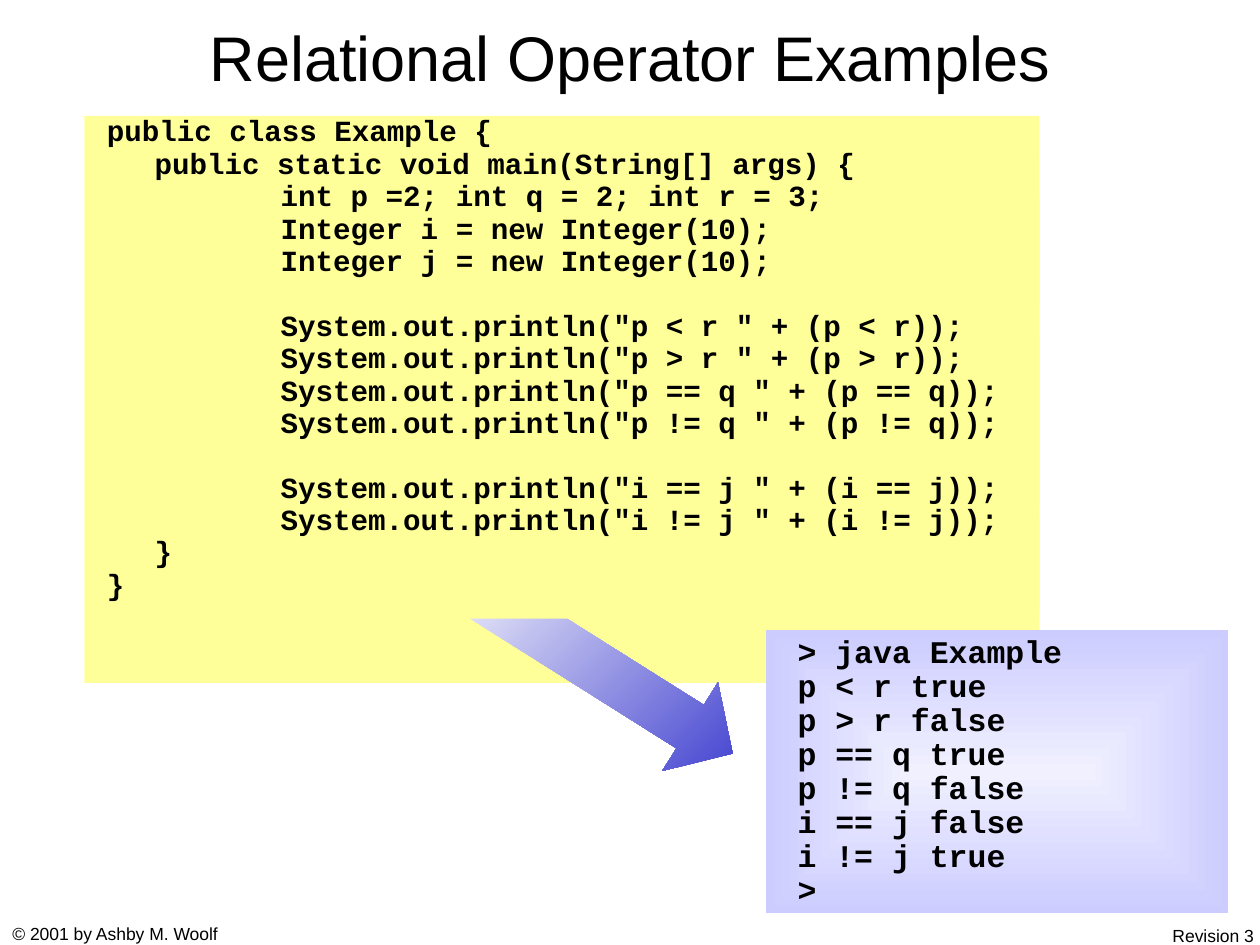
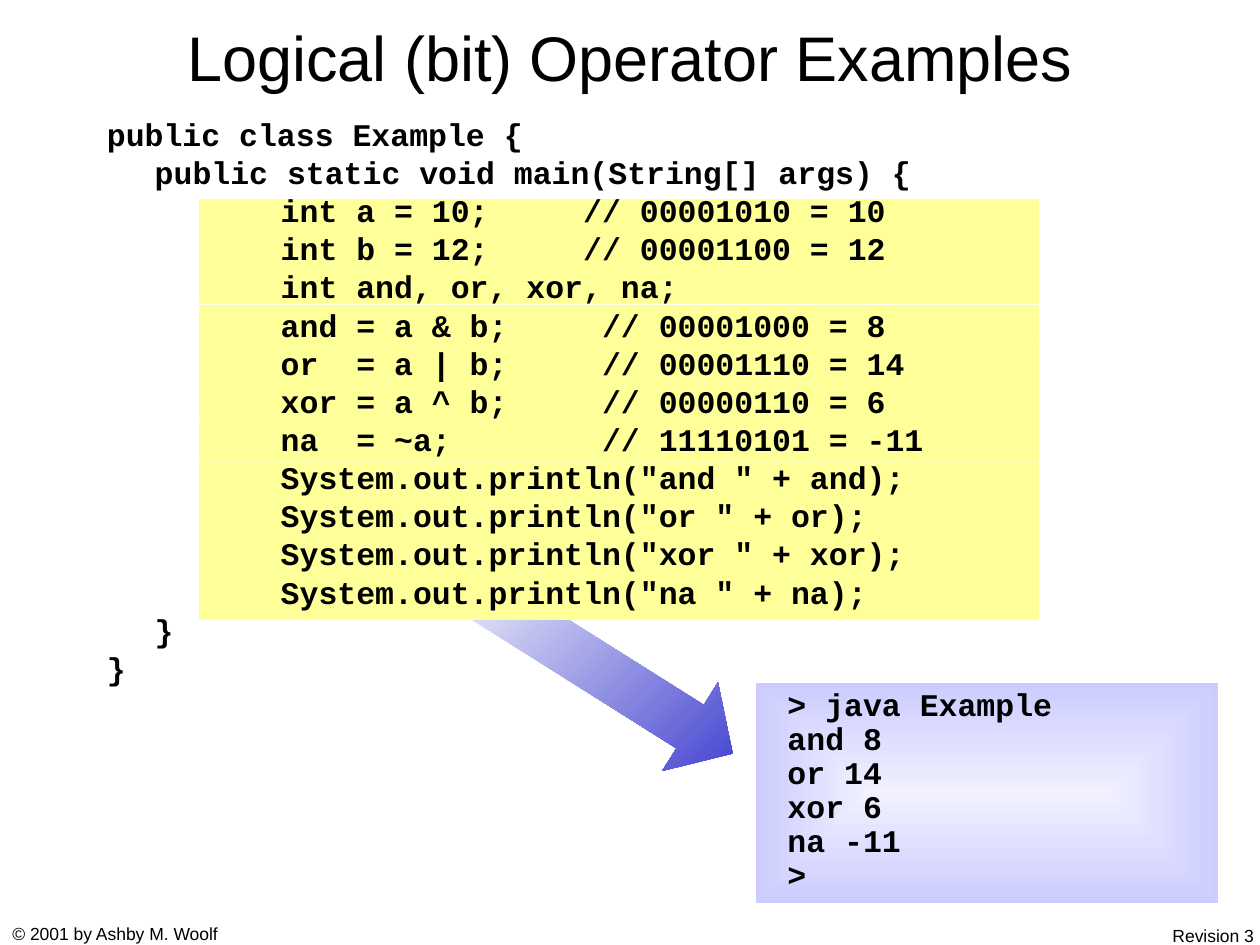
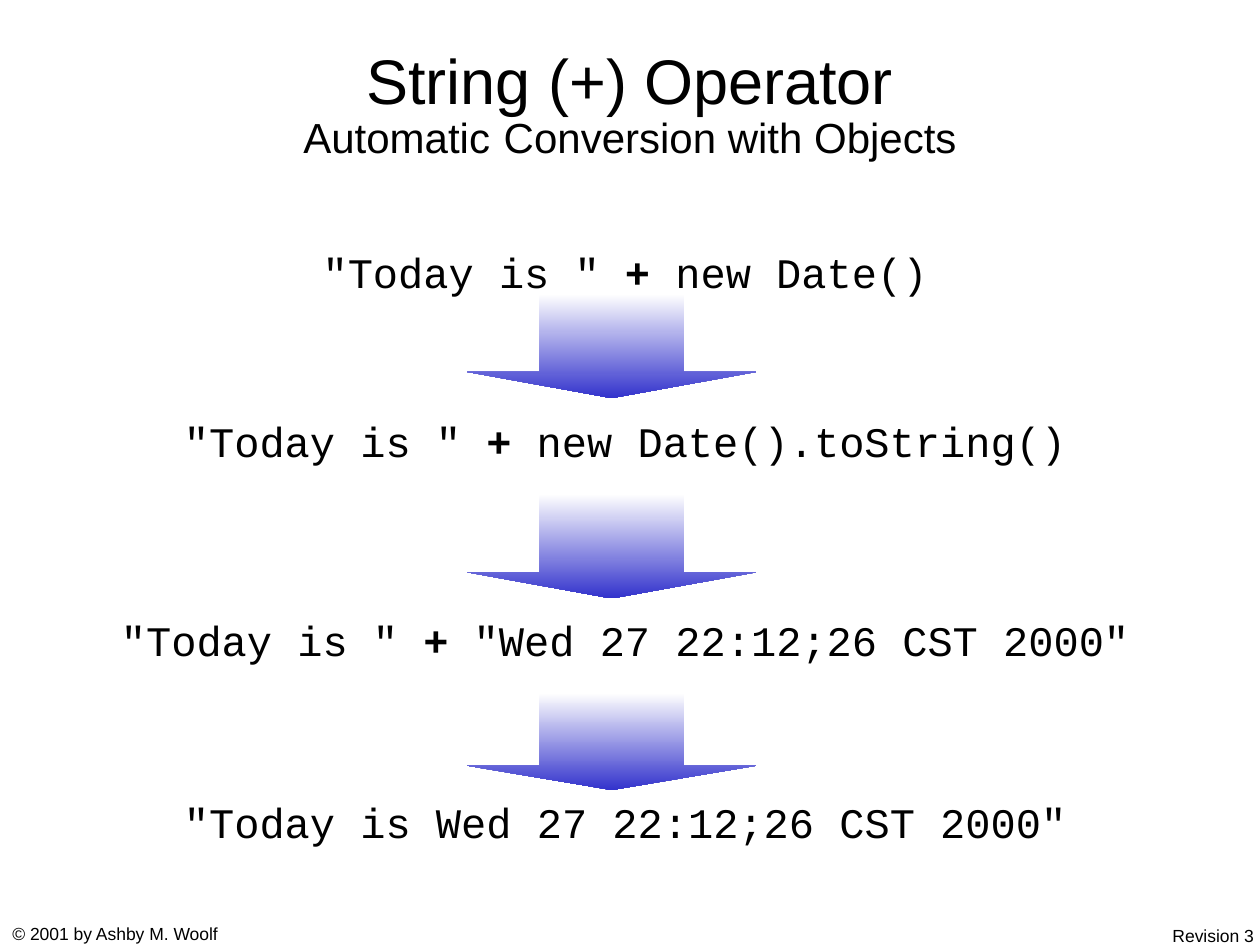
"""Build three slides of Java operator examples."""
from lxml import etree
from pptx import Presentation
from pptx import util as u
from pptx.dml.color import RGBColor
from pptx.enum import shapes, text
from pptx.oxml import ns

BLACK = RGBColor(0x00, 0x00, 0x00)
WHITE = RGBColor(0xFF, 0xFF, 0xFF)
ARROW_BLUE = RGBColor(0x33, 0x33, 0xCC)
CODE_YELLOW = RGBColor(0xFF, 0xFF, 0x99)
CONSOLE_CENTRE = RGBColor(0xF0, 0xF0, 0xFF)
CONSOLE_EDGE = RGBColor(0xCC, 0xCC, 0xFF)

TITLE_FONT = {"name": "Arial", "size": u.Pt(36), "bold": False}
FOOTER_FONT = {"name": "Arial", "size": u.Pt(10), "bold": False}
CODE_FONT = {"name": "Courier New", "size": u.Pt(18), "bold": True}
EXPRESSION_FONT = {"name": "Courier New", "size": u.Pt(24), "bold": False}
BOLD = {"bold": True}
SUBTITLE = {"size": u.Pt(24)}
CENTRED = {"alignment": text.PP_ALIGN.CENTER}

TITLE_BOX = (0.75, 0.16, 8.5, 0.58)
BAND_LEFT, BAND_WIDTH = 1.58, 6.67
CODE_INDENTS = (0, 0.38, 1.38)

RELATIONAL_CODE = """public class Example {
\tpublic static void main(String[] args) {
\t\tint p =2; int q = 2; int r = 3;
\t\tInteger i = new Integer(10);
\t\tInteger j = new Integer(10);

\t\tSystem.out.println("p < r " + (p < r));
\t\tSystem.out.println("p > r " + (p > r));
\t\tSystem.out.println("p == q " + (p == q));
\t\tSystem.out.println("p != q " + (p != q));

\t\tSystem.out.println("i == j " + (i == j));
\t\tSystem.out.println("i != j " + (i != j));
\t}
}"""
RELATIONAL_OUTPUT = """> java Example
p < r true
p > r false
p == q true
p != q false
i == j false
i != j true
>"""
LOGICAL_CODE = """public class Example {
\tpublic static void main(String[] args) {
\t\tint a = 10;     // 00001010 = 10
\t\tint b = 12;     // 00001100 = 12
\t\tint and, or, xor, na;
\t\tand = a & b;     // 00001000 = 8
\t\tor  = a | b;     // 00001110 = 14
\t\txor = a ^ b;     // 00000110 = 6
\t\tna  = ~a;        // 11110101 = -11
\t\tSystem.out.println("and " + and);
\t\tSystem.out.println("or " + or);
\t\tSystem.out.println("xor " + xor);
\t\tSystem.out.println("na " + na);
\t}
}"""
LOGICAL_OUTPUT = """> java Example
and 8
or 14
xor 6
na -11
>"""


def inches(box):
    """Turn a box of numbers into lengths."""
    return [u.Inches(side) for side in box]


def apply(target, values):
    """Set each named attribute on the target."""
    for name, value in values.items():
        setattr(target, name, value)


def add_runs(paragraph, runs, font):
    """Fill a paragraph with (text, font changes) runs."""
    for words, changes in runs:
        if words == "\n":
            paragraph.add_line_break()
            continue
        run = paragraph.add_run()
        run.text = words
        apply(run.font, {**font, **changes})
        run.font.color.rgb = BLACK


def add_label(slide, box, runs, font, layout, frame=None):
    """Add a one-paragraph text box."""
    label = slide.shapes.add_textbox(*inches(box)).text_frame
    apply(label, {"word_wrap": True, **(frame or {})})
    apply(label.paragraphs[0], layout)
    add_runs(label.paragraphs[0], runs, font)


def add_title(slide, box, runs, layout=None):
    """Add the centred slide title."""
    add_label(slide, box, runs, TITLE_FONT, {**CENTRED, **(layout or {})},
              {"vertical_anchor": text.MSO_ANCHOR.MIDDLE})


def add_footers(slide):
    """Add the copyright line and the revision."""
    for box, words, side in (
        ((0, 7.28, 1.9, 0.27), "© 2001 by Ashby M. Woolf", text.PP_ALIGN.LEFT),
        ((9.15, 7.29, 0.9, 0.27), "Revision 3", text.PP_ALIGN.RIGHT),
    ):
        add_label(slide, box, [(words, {})], FOOTER_FONT, {"alignment": side})


def add_plain_shape(slide, kind, box):
    """Add a preset shape without line or shadow."""
    plain = slide.shapes.add_shape(kind, *inches(box))
    plain.shadow.inherit = False
    plain.line.fill.background()
    return plain


def add_bands(slide, boxes):
    """Add the yellow bands behind code."""
    for box in boxes:
        band = add_plain_shape(slide, shapes.MSO_SHAPE.RECTANGLE, box)
        band.fill.solid()
        band.fill.fore_color.rgb = CODE_YELLOW


def set_gradient(shape, start, end, angle):
    """Fill a shape with a linear two-colour gradient."""
    shape.fill.gradient()
    shape.fill.gradient_angle = angle
    for stop, colour in zip(shape.fill.gradient_stops, (start, end)):
        stop.color.rgb = colour


def add_arrow(slide, kind, box, adjustments, angle, rotation=0):
    """Add a block arrow fading from white to blue."""
    arrow = add_plain_shape(slide, kind, box)
    arrow.rotation = rotation
    for index, value in enumerate(adjustments):
        arrow.adjustments[index] = value
    set_gradient(arrow, WHITE, ARROW_BLUE, angle)


def add_lines(frame, lines, font, layout, before=0, blank_line=0):
    """Write lines as indented paragraphs, with space for empty lines."""
    gap = 0
    paragraph = None
    for line in lines:
        if not line:
            gap += blank_line
            continue
        first = paragraph is None
        paragraph = frame.paragraphs[0] if first else frame.add_paragraph()
        apply(paragraph, layout)
        if not first:
            paragraph.space_before = u.Pt(before + gap)
        properties = paragraph._p.get_or_add_pPr()
        properties.set("marL", str(u.Inches(CODE_INDENTS[line.count("\t")])))
        properties.set("indent", "0")
        add_runs(paragraph, [(line.lstrip("\t"), {})], font)
        gap = 0


def add_code(slide, box, code, size, spacing):
    """Add a Java listing."""
    listing = slide.shapes.add_textbox(*inches(box)).text_frame
    listing.word_wrap = True
    add_lines(listing, code.split("\n"), {**CODE_FONT, "size": u.Pt(size)},
              {"line_spacing": spacing}, 4.5, 18.4)


def add_console(slide, box, output):
    """Add the console panel with a gradient from its centre."""
    console = add_plain_shape(slide, shapes.MSO_SHAPE.RECTANGLE, box)
    set_gradient(console, CONSOLE_CENTRE, CONSOLE_EDGE, 0)
    linear = console._element.spPr.find(".//" + ns.qn("a:lin"))
    rings = etree.Element(ns.qn("a:path"), path="rect")
    etree.SubElement(rings, ns.qn("a:fillToRect"),
                     {side: "50000" for side in "ltrb"})
    linear.getparent().replace(linear, rings)
    apply(console.text_frame, {
        "word_wrap": True, "vertical_anchor": text.MSO_ANCHOR.TOP,
        "margin_left": u.Inches(0.25),
    })
    add_lines(console.text_frame, output.split("\n"), CODE_FONT,
              {"alignment": text.PP_ALIGN.LEFT, "line_spacing": 0.9})


def add_example_slide(slide, title, back_bands, front_bands, listing, console):
    """Build a listing with an arrow to its output."""
    add_footers(slide)
    add_bands(slide, back_bands)
    add_title(slide, TITLE_BOX, [(title, {})])
    add_arrow(slide, shapes.MSO_SHAPE.RIGHT_ARROW, (3.58, 4.92, 2.42, 0.83),
              (0.49, 0.48), 347, 32.2)
    add_bands(slide, [(BAND_LEFT, top, BAND_WIDTH, height)
                      for top, height in front_bands])
    add_code(slide, *listing)
    add_console(slide, *console)


def add_conversion_slide(slide):
    """Build the steps of a string conversion."""
    add_footers(slide)
    add_title(slide, (0.75, 0.41, 8.5, 0.92), [
        ("String (+) Operator", {}), ("\n", {}), ("Automatic", SUBTITLE),
        (" ", {"size": u.Pt(28)}), ("Conversion with Objects", SUBTITLE),
    ], {"line_spacing": 0.8})
    today, plus = ('"Today is "', {}), (" + ", BOLD)
    steps = (
        (1.83, [today, plus, ("new Date()", {})]),
        (3.17, [today, plus, ("new Date().toString()", {})]),
        (4.75, [today, plus, ('"Wed 27 22:12;26 CST 2000"', {})]),
        (6.19, [('"Today is Wed 27 22:12;26 CST 2000"', {})]),
    )
    for top, runs in steps:
        add_label(slide, (0.25, top, 9.42, 0.67), runs, EXPRESSION_FONT,
                  {**CENTRED, "line_spacing": 1.2})
    for top, height in ((2.33, 0.83), (3.92, 0.83), (5.5, 0.77)):
        add_arrow(slide, shapes.MSO_SHAPE.DOWN_ARROW, (3.71, top, 2.29, height),
                  (0.5, 0.25), 270)


def main():
    """Build and save the presentation."""
    deck = Presentation()
    deck.slide_width, deck.slide_height = u.Inches(10), u.Inches(7.5)
    relational, logical, conversion = (
        deck.slides.add_slide(deck.slide_layouts[6]) for _ in range(3))
    add_example_slide(
        relational, "Relational Operator Examples",
        [(0.67, 0.92, 7.58, 4.5), (1.17, 1.25, 7.08, 3.83)],
        [(1.5, 3.33), (1.58, 0.25), (1.83, 0.58), (2.67, 1.33), (4.08, 0.83)],
        ((0.75, 0.92, 7.67, 4.5), RELATIONAL_CODE, 16.7, 0.7),
        ((6.08, 5, 3.67, 2.25), RELATIONAL_OUTPUT))
    add_example_slide(
        logical, "Logical (bit) Operator Examples",
        [(BAND_LEFT, top, BAND_WIDTH, 0.34) for top in (3.33, 2.67)],
        [(1.58, 0.83), (2.42, 0.33), (3, 0.33), (3.67, 1.25)],
        ((0.75, 0.92, 6.83, 4.83), LOGICAL_CODE, 18, 0.8),
        ((6, 5.42, 3.67, 1.75), LOGICAL_OUTPUT))
    add_conversion_slide(conversion)
    deck.save("out.pptx")


if __name__ == "__main__":
    main()
